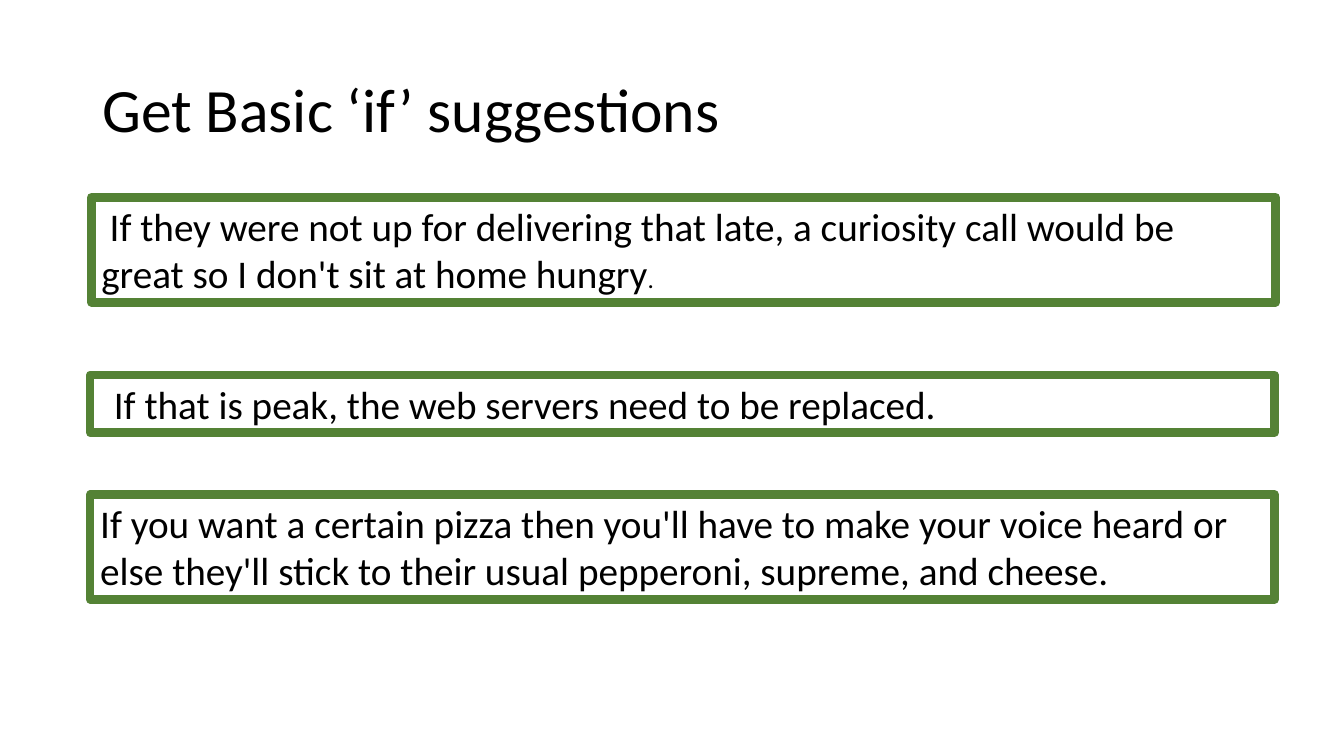
import dataclasses

import pptx
import pptx.dml.color
import pptx.enum.shapes
import pptx.enum.text
import pptx.util

PX = 9525  # EMU in one px, 96 px to the inch
COLORS = {"ink": "000000", "frame": "548235"}
FONT = "Calibri"
ANCHOR = pptx.enum.text.MSO_ANCHOR


@dataclasses.dataclass
class Box:
    left: int
    top: int
    width: int
    height: int

    def emu(self) -> list[int]:
        return [n * PX for n in dataclasses.astuple(self)]


@dataclasses.dataclass
class Tip:
    box: Box
    runs: list[tuple[str, int]]
    indent: int = 0


def color(name: str) -> pptx.dml.color.RGBColor:
    return pptx.dml.color.RGBColor.from_string(COLORS[name])


def write(shape, runs: list[tuple[str, int]], *, anchor=ANCHOR.TOP,
          wrap: bool = True, spacing: float = 1.0, indent: int = 0,
          right: int = 10) -> None:
    """Fill a shape with one left-aligned paragraph of (text, size) runs."""
    frame = shape.text_frame
    frame.word_wrap = wrap
    frame.vertical_anchor = anchor
    frame.margin_right = right * PX
    para = frame.paragraphs[0]
    para.alignment = pptx.enum.text.PP_ALIGN.LEFT
    para.line_spacing = spacing
    if indent:
        para._p.get_or_add_pPr().set("indent", str(indent * PX))
    for text, size in runs:
        run = para.add_run()
        run.text = text
        run.font.name = FONT
        run.font.size = pptx.util.Pt(size)
        run.font.color.rgb = color("ink")


def frame(slide, box: Box):
    """Draw an unfilled box with a thick green border."""
    shape = slide.shapes.add_shape(
        pptx.enum.shapes.MSO_SHAPE.RECTANGLE, *box.emu())
    shape.shadow.inherit = False
    shape.fill.background()
    shape.line.color.rgb = color("frame")
    shape.line.width = pptx.util.Pt(6)
    return shape


def main() -> None:
    deck = pptx.Presentation()
    deck.slide_width, deck.slide_height = 1280 * PX, 720 * PX
    slide = deck.slides.add_slide(deck.slide_layouts[6])

    # Title
    title = slide.shapes.add_textbox(*Box(88, 38, 1104, 139).emu())
    write(title, [("Get Basic ‘if’ suggestions", 44)],
          anchor=ANCHOR.MIDDLE, spacing=0.9)

    # Framed suggestions
    tips = [
        Tip(Box(87, 188, 1128, 100),
            [("If they were not up for delivering that late, a curiosity call "
              "would be great so I don't sit at home hungry", 28), (".", 18)],
            indent=8),
        Tip(Box(86, 471, 1128, 100),
            [("If you want a certain pizza then you'll have to make your voice "
              "heard or else they'll stick to their usual pepperoni, supreme, "
              "and cheese.", 28)]),
    ]
    for tip in tips:
        write(frame(slide, tip.box), tip.runs, indent=tip.indent, right=24)

    # Single-line suggestion, set in from its frame
    label = slide.shapes.add_textbox(*Box(99, 357, 810, 55).emu())
    write(label, [("If that is peak, the web servers need to be replaced.", 28)],
          wrap=False)
    frame(slide, Box(86, 357, 1128, 55))

    deck.save("out.pptx")


if __name__ == "__main__":
    main()
